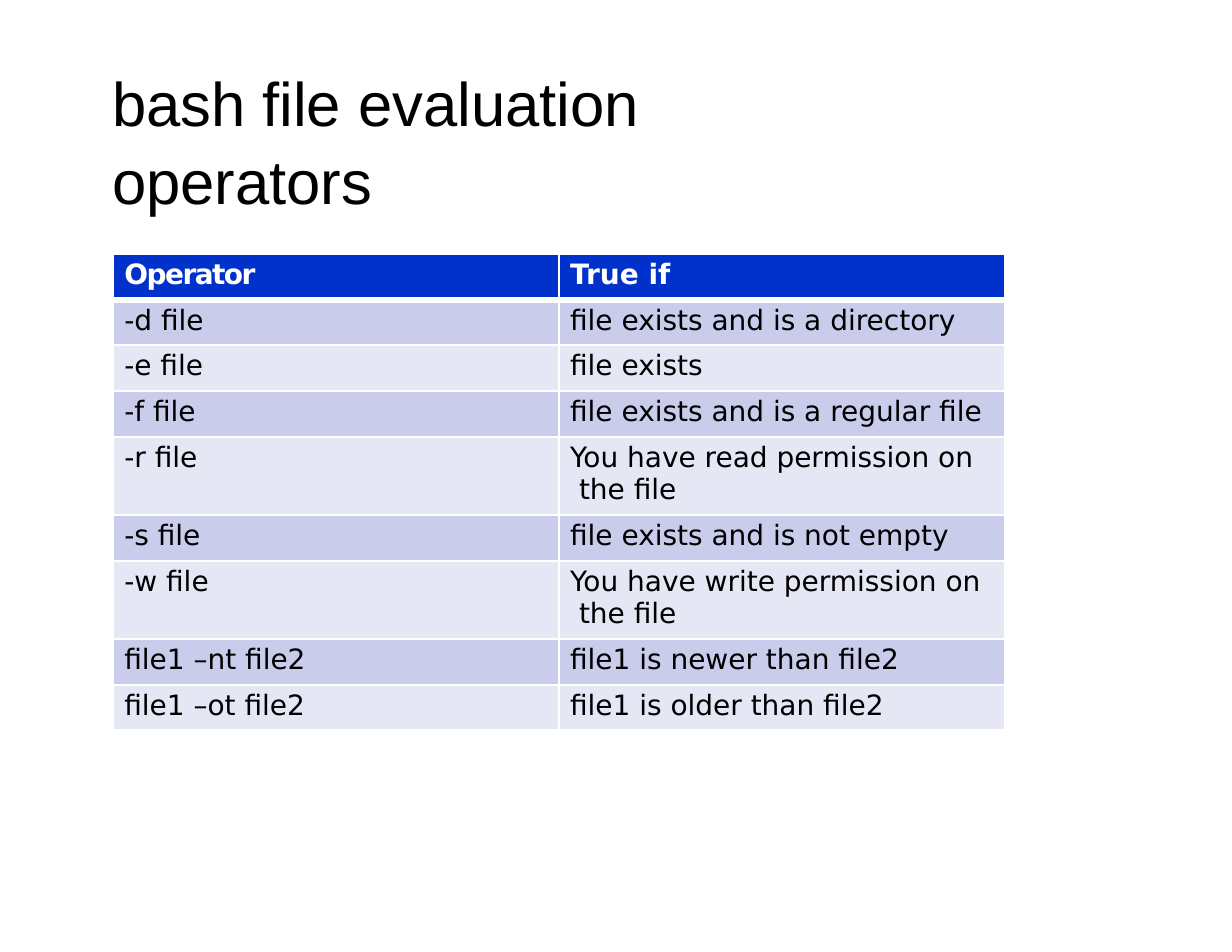
from lxml.etree import SubElement
from pptx import Presentation
from pptx.dml.color import RGBColor as RGB
from pptx.enum.text import MSO_ANCHOR as ANCHOR, MSO_AUTO_SIZE as AUTO, PP_ALIGN as ALIGN
from pptx.oxml.ns import qn
from pptx.util import Pt

PX = 9144
COLORS = {
    "text": "000000",
    "white": "FFFFFF",
    "header": "0032CB",
    "odd": "CACCEB",
    "even": "E6E7F5",
}
ROWS = [
    ("Operator", "True if"),
    ("-d file", "file exists and is a directory"),
    ("-e file", "file exists"),
    ("-f file", "file exists and is a regular file"),
    ("-r file", "You have read permission on the file"),
    ("-s file", "file exists and is not empty"),
    ("-w file", "You have write permission on the file"),
    ("file1 –nt file2", "file1 is newer than file2"),
    ("file1 –ot file2", "file1 is older than file2"),
]
ROW_HEIGHTS = [41, 40, 41, 41, 70, 41, 70, 41, 40]


def color(name):
    """Return the palette colour as an RGB value."""
    return RGB.from_string(COLORS[name])


def set_margins(obj, left, top):
    """Set the left and top insets in px and clear the others."""
    obj.margin_left, obj.margin_top = left * PX, top * PX
    obj.margin_right = obj.margin_bottom = 0


def set_font(p, name, size, fill, bold=False):
    """Format a whole paragraph."""
    p.font.name, p.font.size, p.font.bold = name, Pt(size), bold
    p.font.color.rgb = color(fill)


def set_borders(cell, widths):
    """Draw white borders, with widths in points keyed by side."""
    tc_pr = cell._tc.get_or_add_tcPr()
    for side, width in widths.items():
        ln = SubElement(tc_pr, qn(f"a:ln{side}"), w=str(Pt(width)))
        fill = SubElement(ln, qn("a:solidFill"))
        SubElement(fill, qn("a:srgbClr"), val=COLORS["white"])


def add_title(slide, x, y, w, h):
    """Fill the title placeholder within the given box."""
    sp = slide.shapes.title
    sp.left, sp.top, sp.width, sp.height = (v * PX for v in (x, y, w, h))
    tf = sp.text_frame
    tf.text = "bash file evaluation operators"
    tf.word_wrap, tf.auto_size = True, AUTO.SHAPE_TO_FIT_TEXT
    tf.vertical_anchor = ANCHOR.MIDDLE
    set_margins(tf, 1, 1)
    p = tf.paragraphs[0]
    p.alignment, p.line_spacing = ALIGN.LEFT, 1.05
    set_font(p, "Arial", 39.6, "text")


def fill_cell(cell, text, row, col):
    """Write and format one table cell."""
    header = row == 0
    set_borders(cell, {
        "L": 1 if col else 1.5,
        "R": 1,
        "T": 4.25 if row == 1 else 1.5,
        "B": 4.25 if header else 1.5,
    })
    cell.fill.solid()
    cell.fill.fore_color.rgb = color("header" if header else "odd" if row % 2 else "even")
    cell.vertical_anchor = ANCHOR.TOP
    set_margins(cell, 0, 4)
    cell.text = text
    p = cell.text_frame.paragraphs[0]
    p_pr = p._p.get_or_add_pPr()
    p_pr.set("marL", str(18 * PX))
    p_pr.set("indent", str(-8 * PX))
    set_font(p, "DejaVu Sans", 18, "white" if header else "text", header)
    if header and col == 0:
        p.runs[0].font._element.set("spc", "-100")


def add_operator_table(slide, x, y, w):
    """Place the operator table with equal columns from the given corner."""
    frame = slide.shapes.add_table(len(ROWS), 2, x * PX, y * PX, w * PX, sum(ROW_HEIGHTS) * PX)
    table = frame.table
    table.horz_banding = False
    for column in table.columns:
        column.width = w * PX // 2
    for i, (texts, height) in enumerate(zip(ROWS, ROW_HEIGHTS)):
        table.rows[i].height = height * PX
        for j, text in enumerate(texts):
            fill_cell(table.cell(i, j), text, i, j)


def main():
    """Build the slide and save it."""
    prs = Presentation()
    prs.slide_width, prs.slide_height = 1100 * PX, 850 * PX
    slide = prs.slides.add_slide(prs.slide_layouts[5])
    add_title(slide, 99, 92, 593, 63)
    add_operator_table(slide, 101, 227, 796)
    prs.save("out.pptx")


if __name__ == "__main__":
    main()
